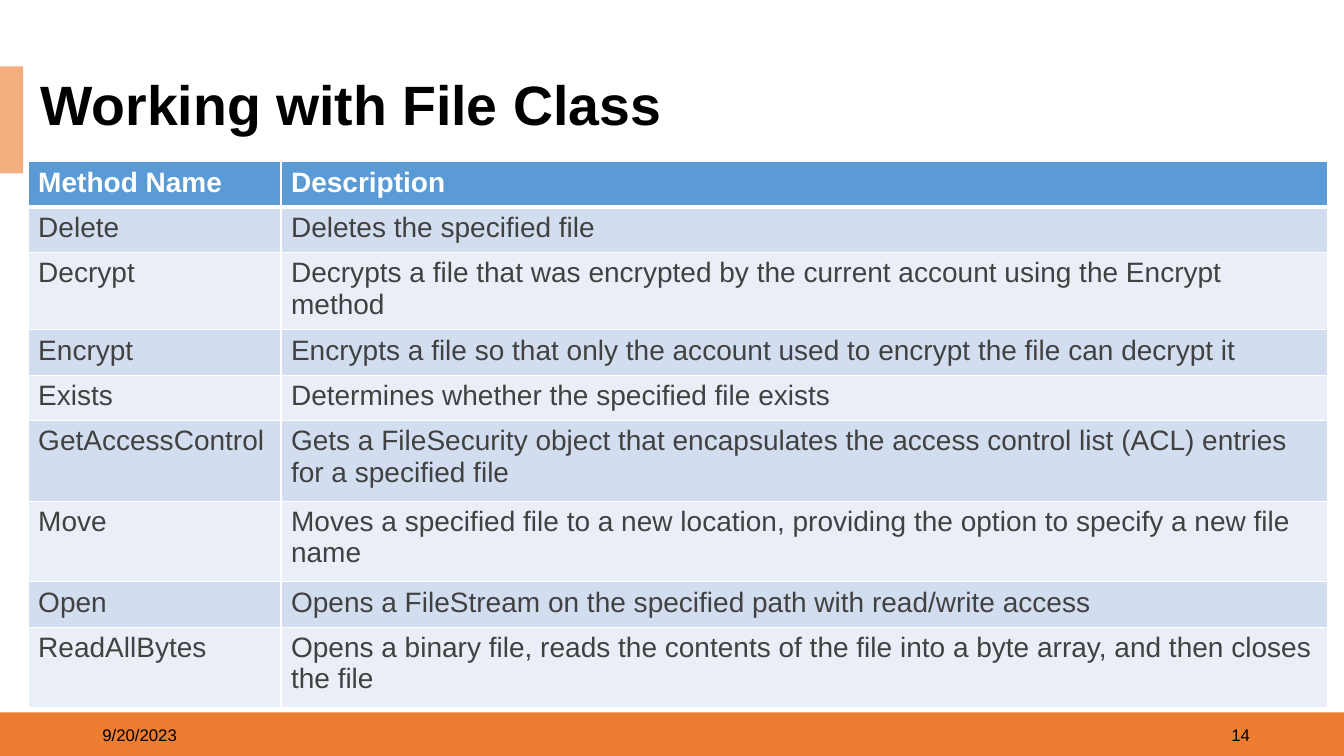
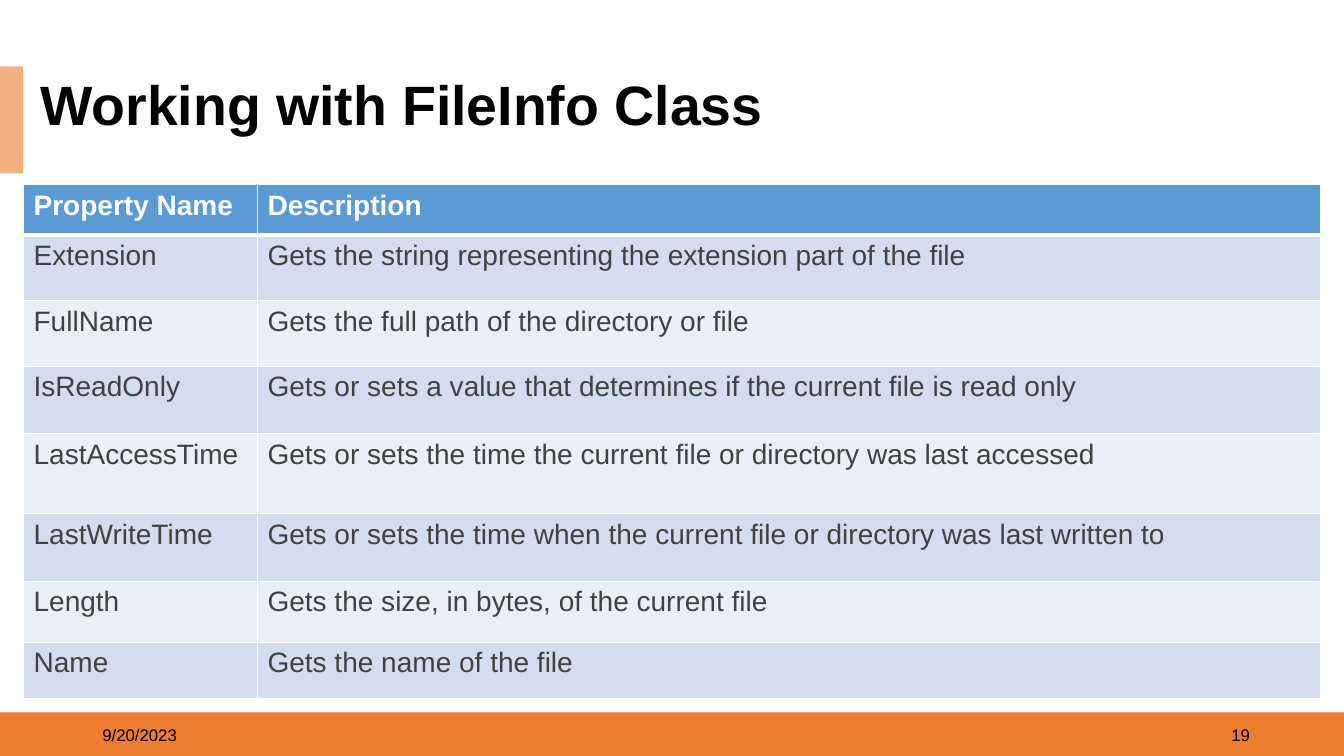
from lxml.etree import SubElement
from pptx import Presentation
from pptx.dml.color import RGBColor
from pptx.enum.shapes import MSO_SHAPE as Preset
from pptx.enum.text import MSO_ANCHOR as Anchor, MSO_AUTO_SIZE as AutoSize, PP_ALIGN as Align
from pptx.oxml.ns import qn
from pptx.util import Inches, Pt

COLUMNS, ROWS = 160, 90


def color(value):
    return RGBColor.from_string(value)


def paint(target, value):
    target.fill.solid()
    target.fill.fore_color.rgb = color(value)


def apply(target, values):
    for name, value in values.items():
        setattr(target, name, value)


class Pages:
    font = "Arial"
    black, white, ink = "000000", "FFFFFF", "414141"
    orange, peach, blue = "ED7D31", "F4AF80", "5B9BD5"
    stripes = ("D2DEEF", "EAEFF7")
    thin, thick = 1, 3

    def __init__(self):
        self.deck = Presentation()
        apply(self.deck, {"slide_width": Inches(13.33), "slide_height": Inches(7.5)})
        self.page = None

    def across(self, columns):
        return round(self.deck.slide_width * columns / COLUMNS)

    def down(self, rows):
        return round(self.deck.slide_height * rows / ROWS)

    def area(self, left, top, width, height):
        return self.across(left), self.down(top), self.across(width), self.down(height)

    def label(self, frame, text, size, ink, bold=False, paragraph=None):
        para = frame.paragraphs[0]
        apply(para, paragraph or {})
        span = para.add_run()
        span.text = text
        apply(span.font, {"name": self.font, "size": Pt(size), "bold": bold})
        span.font.color.rgb = color(ink)

    def start(self, title, title_width, date, number):
        self.page = self.deck.slides.add_slide(self.deck.slide_layouts[5])
        self.band(0, 84.8, COLUMNS, 5.2, self.orange)
        self.band(0, 7.9, 2.75, 12.75, self.peach)
        self.footer(11, date, Align.LEFT)
        self.footer(114, number, Align.RIGHT)
        self.title(title, title_width)

    def band(self, left, top, width, height, fill):
        box = self.page.shapes.add_shape(Preset.RECTANGLE, *self.area(left, top, width, height))
        box.shadow.inherit = False
        box.line.fill.background()
        paint(box, fill)

    def footer(self, left, text, alignment):
        box = self.page.shapes.add_textbox(*self.area(left, 85.1, 36, 4.8))
        apply(box.text_frame, {"word_wrap": True, "vertical_anchor": Anchor.MIDDLE})
        self.label(box.text_frame, text, 12, self.black, paragraph={"alignment": alignment})

    def title(self, text, width):
        box = self.page.shapes.title
        apply(box, dict(zip(("left", "top", "width", "height"), self.area(3.6, 9, width, 7.6))))
        paint(box, self.white)
        apply(box.text_frame, {"word_wrap": True, "auto_size": AutoSize.NONE,
                               "vertical_anchor": Anchor.MIDDLE})
        self.label(box.text_frame, text, 39.6, self.black, True,
                   {"alignment": Align.LEFT, "line_spacing": 0.9})

    def border(self, cell, top, bottom):
        properties = cell._tc.get_or_add_tcPr()
        widths = {"a:lnL": self.thin, "a:lnR": self.thin, "a:lnT": top, "a:lnB": bottom}
        for place, (side, width) in enumerate(widths.items()):
            line = SubElement(properties, qn(side), w=str(Pt(width)))
            fill = SubElement(line, qn("a:solidFill"))
            SubElement(fill, qn("a:srgbClr"), val=self.white)
            properties.insert(place, line)

    def table(self, left, top, widths, heights, records):
        place = self.area(left, top, sum(widths), sum(heights))
        table = self.page.shapes.add_table(len(records), len(widths), *place).table
        for column, width in zip(table.columns, widths):
            column.width = self.across(width)
        for index, (row, height, record) in enumerate(zip(table.rows, heights, records)):
            row.height = self.down(height)
            header = index == 0
            for cell, text in zip(row.cells, record):
                paint(cell, self.blue if header else self.stripes[(index - 1) % 2])
                self.border(cell, self.thick if index == 1 else self.thin,
                            self.thick if header else self.thin)
                self.label(cell.text_frame, text, 20, self.white if header else self.ink, header)


FILE_METHODS = [
    ("Method Name", "Description"),
    ("Delete", "Deletes the specified file"),
    ("Decrypt", "Decrypts a file that was encrypted by the current account using the Encrypt method"),
    ("Encrypt", "Encrypts a file so that only the account used to encrypt the file can decrypt it"),
    ("Exists", "Determines whether the specified file exists"),
    ("GetAccessControl", "Gets a FileSecurity object that encapsulates the access control list (ACL) "
                         "entries for a specified file"),
    ("Move", "Moves a specified file to a new location, providing the option to specify a new file name"),
    ("Open", "Opens a FileStream on the specified path with read/write access"),
    ("ReadAllBytes", "Opens a binary file, reads the contents of the file into a byte array, "
                     "and then closes the file"),
]
FILE_INFO_PROPERTIES = [
    ("Property Name", "Description"),
    ("Extension", "Gets the string representing the extension part of the file"),
    ("FullName", "Gets the full path of the directory or file"),
    ("IsReadOnly", "Gets or sets a value that determines if the current file is read only"),
    ("LastAccessTime", "Gets or sets the time the current file or directory was last accessed"),
    ("LastWriteTime", "Gets or sets the time when the current file or directory was last written to"),
    ("Length", "Gets the size, in bytes, of the current file"),
    ("Name", "Gets the name of the file"),
]


def main():
    date = "9/20/2023"
    pages = Pages()
    pages.start("Working with File Class", 116.6, date, "14")
    pages.table(3.35, 19.25, (30.1, 124.6), (5.4, 5.4, 8.75, 5.4, 5.4, 9.6, 9.6, 5.4, 9.6),
                FILE_METHODS)
    pages.start("Working with FileInfo Class", 97.8, date, "19")
    pages.table(2.8, 22, (27.85, 126.6), (6, 7.8, 7.8, 8.05, 9.5, 8.05, 7.3, 6.7),
                FILE_INFO_PROPERTIES)
    pages.deck.save("out.pptx")


if __name__ == "__main__":
    main()
